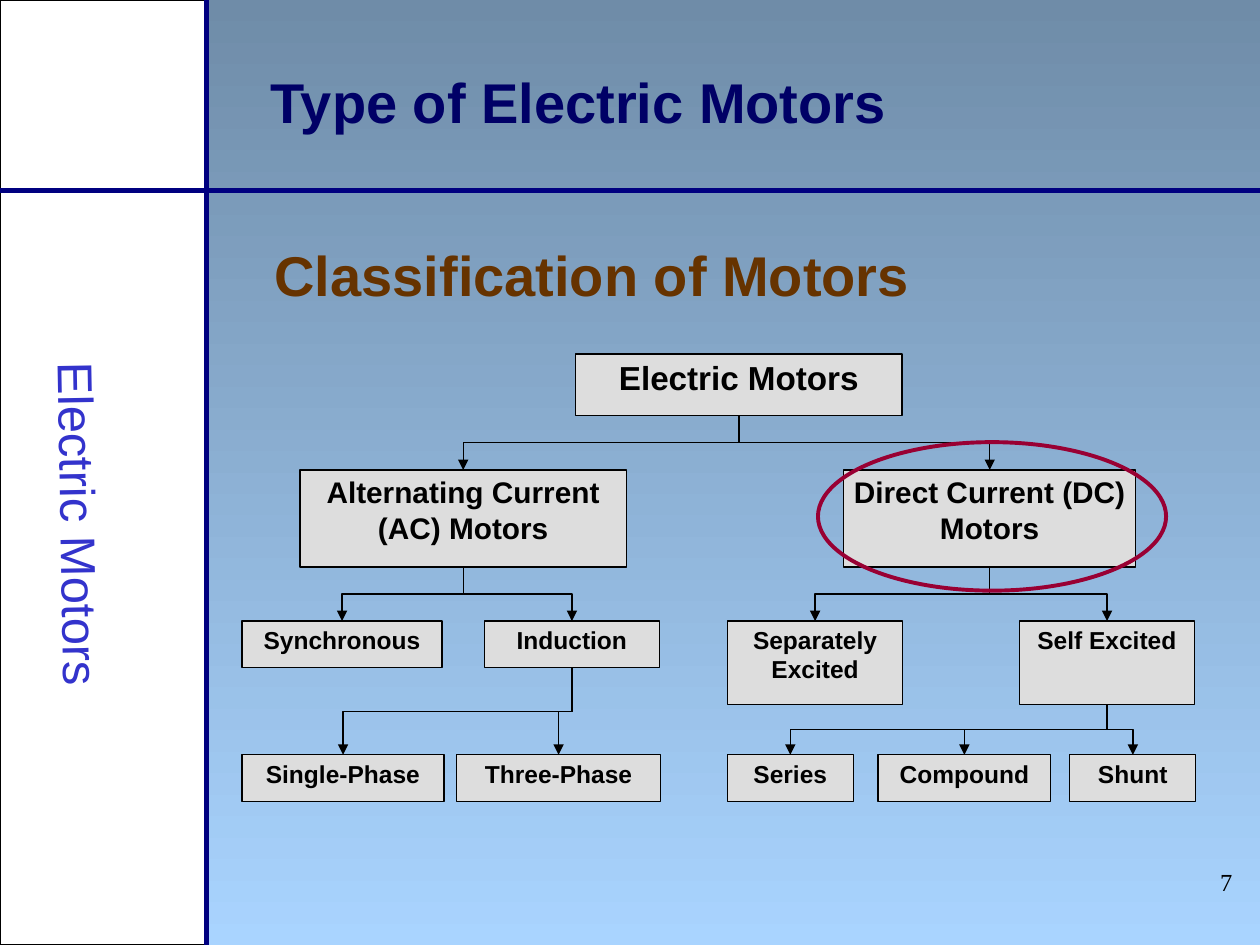
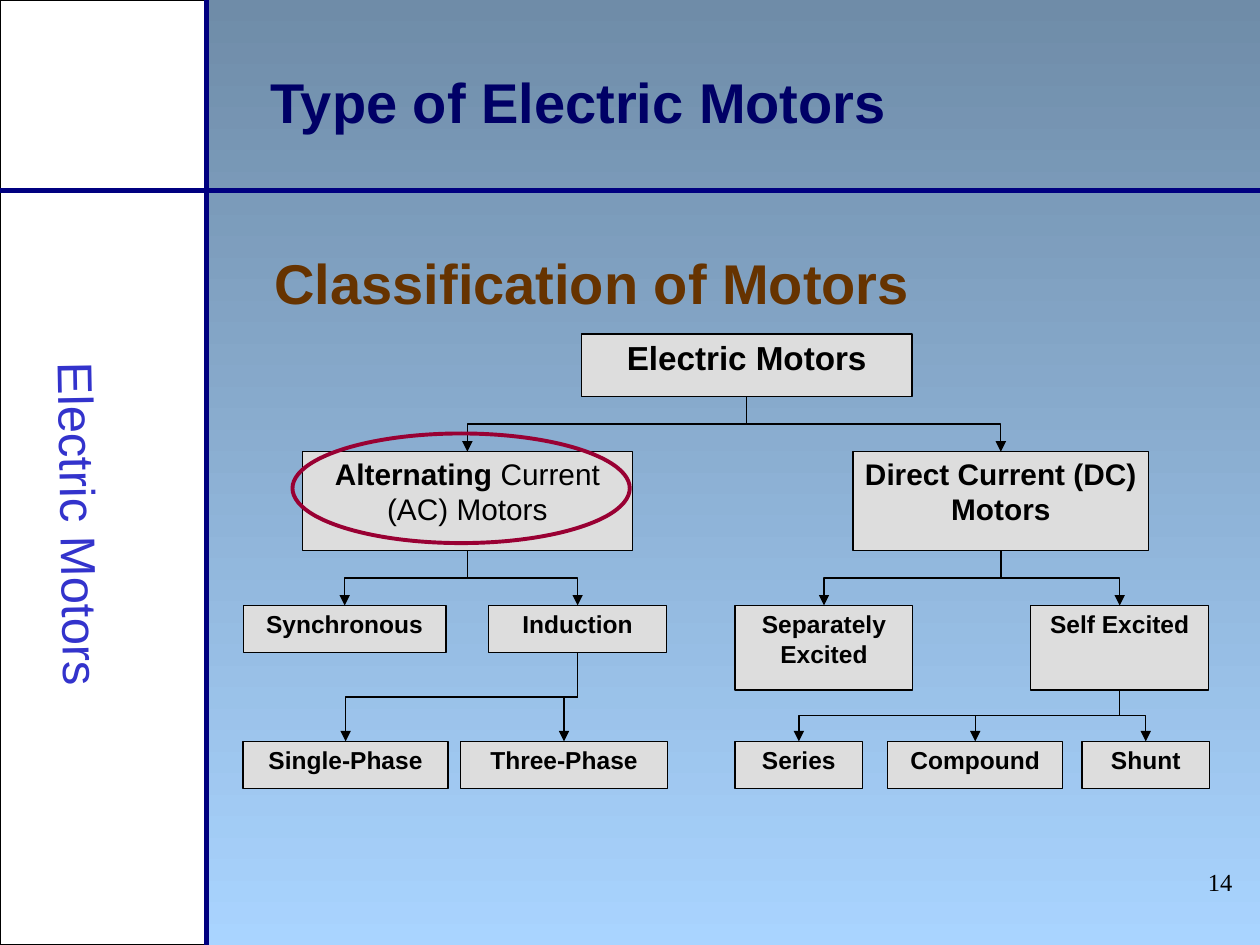
from dataclasses import dataclass

from lxml.etree import SubElement
from pptx import Presentation
from pptx.dml.color import RGBColor
from pptx.enum.shapes import MSO_CONNECTOR as Link, MSO_SHAPE as Shape
from pptx.enum.text import MSO_ANCHOR as Anchor, MSO_AUTO_SIZE as AutoSize, PP_ALIGN as Align
from pptx.oxml.ns import qn
from pptx.util import Inches, Pt


@dataclass(frozen=True)
class Theme:
    """Colours, fonts and type sizes of the deck."""
    sky_top: str = "6F8CA8"
    sky_bottom: str = "A9D4FF"
    white: str = "FFFFFF"
    black: str = "000000"
    rule: str = "000080"
    title: str = "000066"
    heading: str = "663300"
    side: str = "3333CC"
    node: str = "DDDDDD"
    ring: str = "990033"
    font: str = "Arial"
    number_font: str = "Times New Roman"
    title_size: int = 32
    side_size: int = 28
    number_size: int = 14
    level_sizes: tuple = (19, 17, 14, 14)
    thin: float = 0.75
    ring_width: float = 2.25
    rule_width: float = 3


@dataclass(frozen=True)
class Box:
    """A region in inches whose areas are given as percentages of it."""
    left: float
    top: float
    width: float
    height: float

    def area(self, x, y, w, h):
        """Return the slide position of an area of the region."""
        return [Inches(n) for n in (
            self.left + x * self.width / 100, self.top + y * self.height / 100,
            w * self.width / 100, h * self.height / 100)]


THEME = Theme()
SLIDE = Box(0, 0, 10, 7.5)

LEVELS = (0, 25.9, 59.7, 89.6)
NODES = {
    "Electric Motors": (0, 35, 34.2, 13.8),
    "Alternating Current (AC) Motors": (1, 6.1, 34.2, 21.7),
    "Direct Current (DC) Motors": (1, 63.1, 30.6, 21.7),
    "Synchronous": (2, 0, 21, 10.4),
    "Induction": (2, 25.4, 18.4, 10.4),
    "Separately Excited": (2, 50.9, 18.4, 18.6),
    "Self Excited": (2, 81.5, 18.4, 18.6),
    "Single-Phase": (3, 0, 21.2, 10.4),
    "Three-Phase": (3, 22.5, 21.4, 10.4),
    "Series": (3, 50.9, 13.2, 10.4),
    "Compound": (3, 66.7, 18.1, 10.4),
    "Shunt": (3, 86.8, 13.2, 10.4),
}
BRANCHES = {
    "Electric Motors": ("Alternating Current (AC) Motors", "Direct Current (DC) Motors"),
    "Alternating Current (AC) Motors": ("Synchronous", "Induction"),
    "Direct Current (DC) Motors": ("Separately Excited", "Self Excited"),
    "Induction": ("Single-Phase", "Three-Phase"),
    "Self Excited": ("Series", "Compound", "Shunt"),
}


def rgb(colour):
    """Turn a hex string into a colour."""
    return RGBColor.from_string(colour)


def write(sp, text, size, color=THEME.black, bold=True, font=THEME.font,
          align=Align.LEFT, anchor=Anchor.TOP, inset=(0.1, 0.05), light=""):
    """Fill a shape with one formatted paragraph; a light ending is not bold."""
    tf = sp.text_frame
    tf.word_wrap, tf.auto_size, tf.vertical_anchor = True, AutoSize.NONE, anchor
    tf.margin_left = tf.margin_right = Inches(inset[0])
    tf.margin_top = tf.margin_bottom = Inches(inset[1])
    p = tf.paragraphs[0]
    p.alignment = align
    head = text.removesuffix(light)
    for piece, weight in ((head, bold), (text[len(head):], False)):
        if piece:
            r = p.add_run()
            r.text = piece
            r.font.size, r.font.bold, r.font.name = Pt(size), weight, font
            r.font.color.rgb = rgb(color)


def outline(sp, color, width):
    """Set the line of a shape or connector."""
    sp.line.color.rgb = rgb(color)
    sp.line.width = Pt(width)


def add_shape(slide, kind, area, fill=None, line=THEME.black, width=THEME.thin):
    """Add a flat preset shape."""
    sp = slide.shapes.add_shape(kind, *area)
    sp.shadow.inherit = False
    if fill:
        sp.fill.solid()
        sp.fill.fore_color.rgb = rgb(fill)
    else:
        sp.fill.background()
    outline(sp, line, width)
    return sp


def add_link(slide, kind, ends=(0, 0, 0, 0), color=THEME.black, width=THEME.thin):
    """Add a connector without a shadow."""
    cxn = slide.shapes.add_connector(kind, *ends)
    outline(cxn, color, width)
    SubElement(cxn.element.spPr, qn("a:effectLst"))
    return cxn


def add_branch(slide, parent, child):
    """Join a parent's bottom to a child's top with a bent arrow."""
    cxn = add_link(slide, Link.ELBOW)
    cxn.begin_connect(parent, 2)
    cxn.end_connect(child, 0)
    x1, x2 = (sp.left + sp.width // 2 for sp in (parent, child))
    y1, y2 = parent.top + parent.height, child.top
    run, drop = abs(x2 - x1), y2 - y1
    cxn.left, cxn.top = (x1 + x2 - drop) // 2, (y1 + y2 - run) // 2
    cxn.width, cxn.height = drop, run
    xfrm = cxn.element.spPr.find(qn("a:xfrm"))
    xfrm.attrib.pop("flipV", None)
    xfrm.set("flipH", "1" if x2 > x1 else "0")
    xfrm.set("rot", str((270 if x2 > x1 else 90) * 60000))
    SubElement(cxn.element.spPr.find(qn("a:ln")), qn("a:tailEnd"), type="triangle")


def add_frame(slide, box, number):
    """Draw the side panel, its label, the rules and the slide number."""
    add_shape(slide, Shape.RECTANGLE, box.area(0, 0, 16.3, 100), THEME.white)
    for ends in ((16.4, 0, 16.4, 100), (0, 20.13, 100, 20.13)):
        add_link(slide, Link.STRAIGHT, box.area(*ends), THEME.rule, THEME.rule_width)
    label = slide.shapes.add_textbox(*box.area(-19.7, 48.1, 52.1, 14.7))
    label.rotation = 89
    write(label, "Electric Motors", THEME.side_size, THEME.side, bold=False,
          align=Align.CENTER, anchor=Anchor.MIDDLE)
    page = slide.shapes.add_textbox(*box.area(78, 91.1, 20.8, 6.7))
    write(page, str(number), THEME.number_size, bold=False,
          font=THEME.number_font, align=Align.RIGHT)


def add_headings(slide, box, heading_top):
    """Place the slide title and the heading of the chart."""
    title = slide.shapes.title
    title.left, title.top, title.width, title.height = box.area(20.5, 6.5, 76.7, 8.4)
    write(title, "Type of Electric Motors", THEME.title_size, THEME.title,
          anchor=Anchor.MIDDLE)
    heading = slide.shapes.add_textbox(*box.area(20.8, heading_top, 77.2, 8.4))
    write(heading, "Classification of Motors", THEME.title_size, THEME.heading)


def add_tree(slide, box, ring, light):
    """Draw the motor tree in its box and ring one branch."""
    nodes = {}
    for name, (level, x, w, h) in NODES.items():
        sp = add_shape(slide, Shape.RECTANGLE, box.area(x, LEVELS[level], w, h), THEME.node)
        write(sp, name, THEME.level_sizes[level], align=Align.CENTER,
              inset=(0.07, 0.03), light=light)
        nodes[name] = sp
    for parent, children in BRANCHES.items():
        for child in children:
            add_branch(slide, nodes[parent], nodes[child])
    add_shape(slide, Shape.OVAL, box.area(*ring), line=THEME.ring, width=THEME.ring_width)


def add_tree_slide(prs, number, heading_top, tree, ring, light=""):
    """Build one classification slide."""
    slide = prs.slides.add_slide(prs.slide_layouts[5])
    add_frame(slide, SLIDE, number)
    add_headings(slide, SLIDE, heading_top)
    add_tree(slide, tree, ring, light)


def set_background(master):
    """Give every slide the vertical sky gradient."""
    fill = master.background.fill
    fill.gradient()
    fill.gradient_angle = 270
    for stop, colour in zip(fill.gradient_stops, (THEME.sky_top, THEME.sky_bottom)):
        stop.color.rgb = rgb(colour)


def main():
    """Build and save the deck."""
    prs = Presentation()
    prs.slide_width, prs.slide_height = Inches(SLIDE.width), Inches(SLIDE.height)
    set_background(prs.slide_master)
    add_tree_slide(prs, 7, 24.8, Box(1.92, 2.81, 7.57, 3.55), (60.4, 19.7, 36.5, 33.2))
    add_tree_slide(prs, 14, 25.6, Box(1.93, 2.65, 7.67, 3.61), (5.1, 21.9, 34.9, 24.1),
                   light=" Current (AC) Motors")
    prs.save("out.pptx")


if __name__ == "__main__":
    main()
